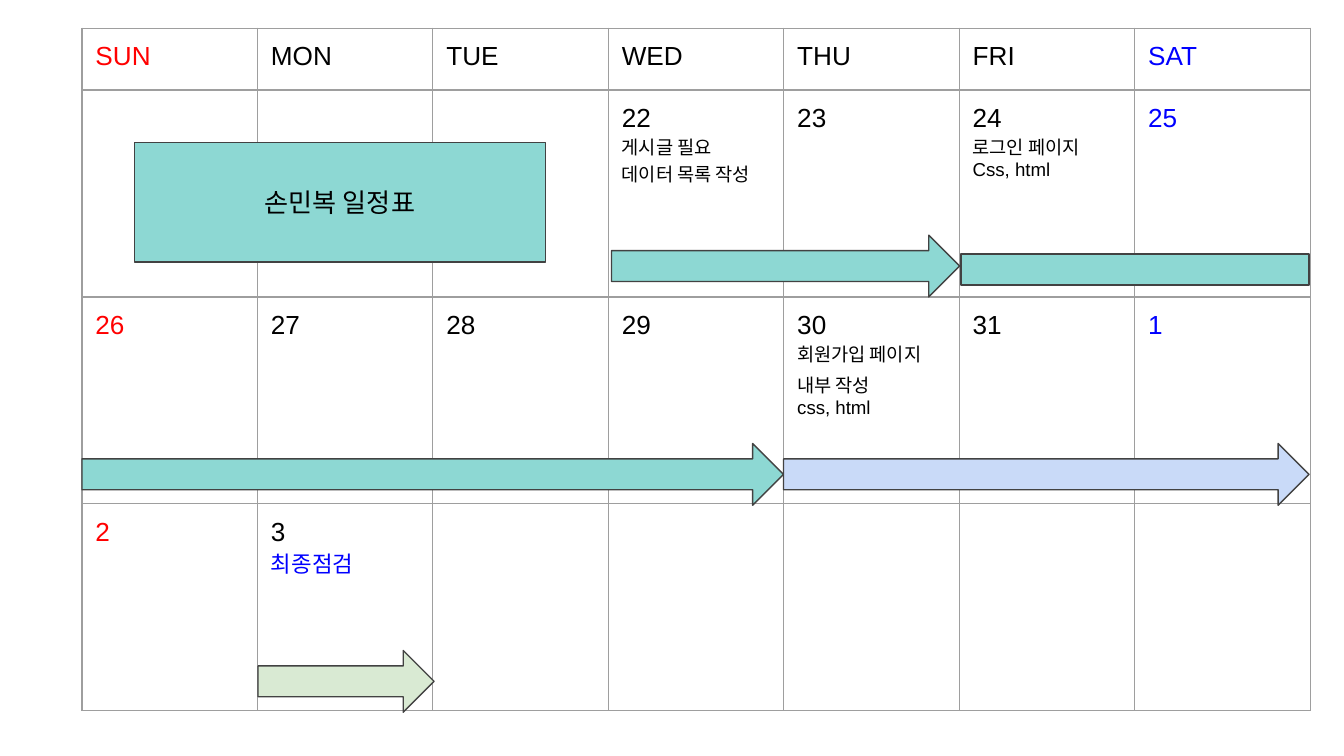
from lxml.etree import SubElement
from pptx import Presentation
from pptx.dml.color import RGBColor
from pptx.enum.shapes import MSO_SHAPE
from pptx.enum.text import MSO_ANCHOR, PP_ALIGN
from pptx.oxml.ns import qn
from pptx.util import Inches, Pt

BLACK = RGBColor(0x00, 0x00, 0x00)
RED = RGBColor(0xFF, 0x00, 0x00)
BLUE = RGBColor(0x00, 0x00, 0xFF)
GRID = RGBColor(0x9E, 0x9E, 0x9E)
OUTLINE = RGBColor(0x42, 0x42, 0x42)
TEAL = RGBColor(0x8D, 0xD8, 0xD3)
LIGHT_BLUE = RGBColor(0xC9, 0xDA, 0xF8)
LIGHT_GREEN = RGBColor(0xD9, 0xEA, 0xD3)

LEFT, TOP = 0.61, 0.21
WIDTH = 9.14
HEADER_HEIGHT, WEEK_HEIGHT = 0.46, 1.54

WEEKS = [
    ["SUN", "MON", "TUE", "WED", "THU", "FRI", "SAT"],
    ["", "", "", "22", "23", "24", "25"],
    ["26", "27", "28", "29", "30", "31", "1"],
    ["2", "3", "", "", "", "", ""],
]
DAY_COLORS = [RED] + [BLACK] * 5 + [BLUE]

# Notes under a date: lines, size, colour
TASKS = {
    "22": (["게시글 필요", "데이터 목록 작성"], 10, BLACK),
    "24": (["로그인 페이지", "Css, html"], 10, BLACK),
    "30": (["회원가입 페이지", "내부 작성", "css, html"], 10, BLACK),
    "3": (["최종점검"], 12, BLUE),
}


def style_text(paragraph, size, color, font="Arial"):
    for run in paragraph.runs:
        run.font.size = Pt(size)
        run.font.name = font
        run.font.color.rgb = color


def add_block(kind, left, top, width, height, color):
    block = slide.shapes.add_shape(
        kind, Inches(left), Inches(top), Inches(width), Inches(height))
    block.shadow.inherit = False
    block.fill.solid()
    block.fill.fore_color.rgb = color
    block.line.color.rgb = OUTLINE
    block.line.width = Pt(0.75)
    return block


# Widescreen 16:9 slide
prs = Presentation()
prs.slide_width = Inches(10)
prs.slide_height = Inches(10) * 9 // 16
slide = prs.slides.add_slide(prs.slide_layouts[6])

# Calendar grid
calendar = slide.shapes.add_table(
    len(WEEKS), 7, Inches(LEFT), Inches(TOP), Inches(WIDTH),
    Inches(HEADER_HEIGHT + 3 * WEEK_HEIGHT)).table
calendar.first_row = False
calendar.horz_banding = False
for column in calendar.columns:
    column.width = Inches(WIDTH / 7)
for index, row in enumerate(calendar.rows):
    row.height = Inches(WEEK_HEIGHT if index else HEADER_HEIGHT)

# Dates and tasks
for week_index, week in enumerate(WEEKS):
    for day_index, day in enumerate(week):
        cell = calendar.cell(week_index, day_index)
        cell.margin_left = cell.margin_right = Inches(0.1)
        cell.margin_top = cell.margin_bottom = Inches(0.1)
        tasks, task_size, task_color = TASKS.get(day, ([], 10, BLACK))
        cell.text_frame.text = "\n".join([day] + tasks)
        date, *notes = cell.text_frame.paragraphs
        style_text(date, 14, DAY_COLORS[day_index])
        for note in notes:
            style_text(note, task_size, task_color)
            if note.text == "내부 작성":
                note.line_spacing = 1.15

        # Cell borders
        properties = cell._tc.get_or_add_tcPr()
        for side in ("a:lnL", "a:lnR", "a:lnT", "a:lnB"):
            border = SubElement(properties, qn(side), w=str(Pt(0.75)))
            fill = SubElement(border, qn("a:solidFill"))
            SubElement(fill, qn("a:srgbClr"), val=str(GRID))
        cell.fill.background()

# First task span
add_block(MSO_SHAPE.RIGHT_ARROW, 4.55, 1.75, 2.59, 0.46, TEAL)

# Schedule title
title = add_block(MSO_SHAPE.RECTANGLE, 1, 1.06, 3.06, 0.89, TEAL)
title.text_frame.text = "손민복 일정표"
title.text_frame.word_wrap = True
title.text_frame.vertical_anchor = MSO_ANCHOR.MIDDLE
title.text_frame.paragraphs[0].alignment = PP_ALIGN.CENTER
style_text(title.text_frame.paragraphs[0], 14, BLACK, "Quicksand")

# Later task spans; the bar at the week's end leads into the arrow below it
for kind, left, top, width, height, color in [
    (MSO_SHAPE.RIGHT_ARROW, LEFT, 3.3, 5.22, 0.46, TEAL),
    (MSO_SHAPE.RECTANGLE, 7.15, 1.89, 2.59, 0.23, TEAL),
    (MSO_SHAPE.RIGHT_ARROW, 5.83, 3.3, 3.91, 0.46, LIGHT_BLUE),
    (MSO_SHAPE.RIGHT_ARROW, 1.92, 4.84, 1.31, 0.46, LIGHT_GREEN),
]:
    add_block(kind, left, top, width, height, color)

prs.save("out.pptx")
